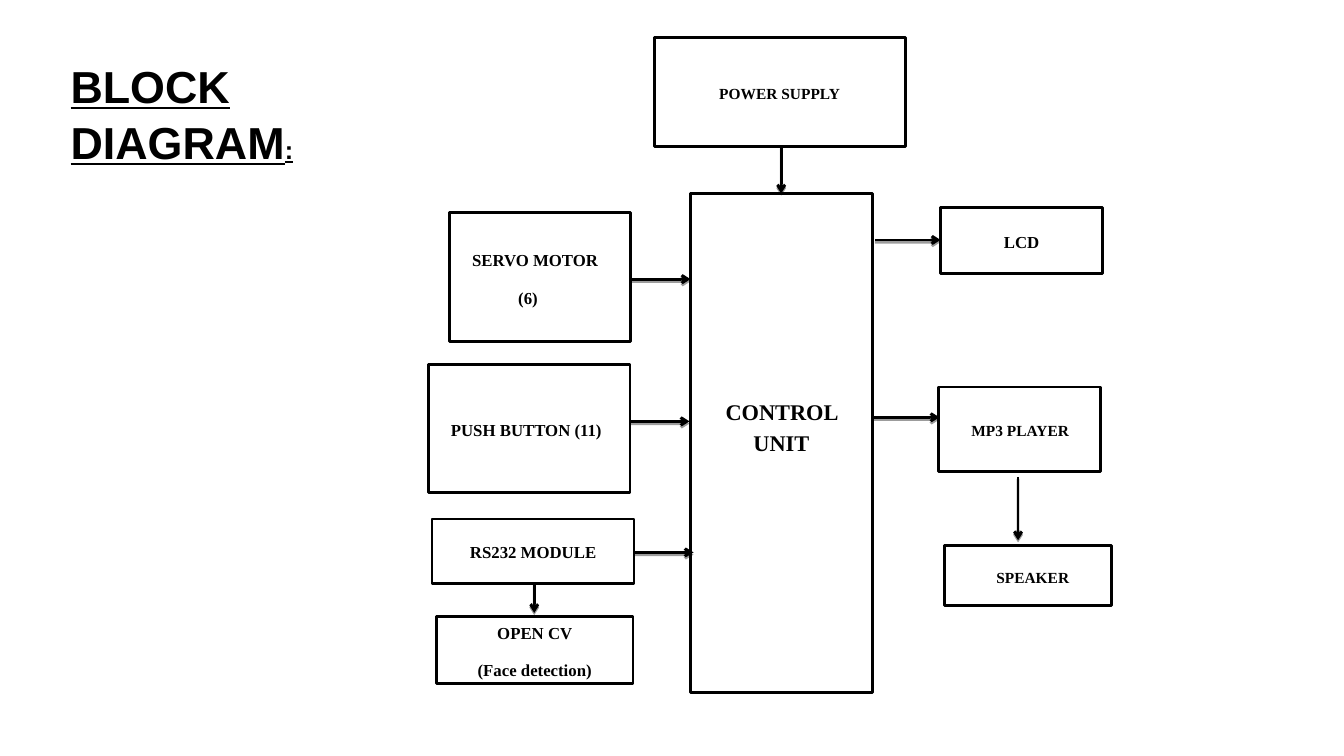
from lxml import etree
from pptx import Presentation
from pptx.dml.color import RGBColor
from pptx.enum.shapes import MSO_CONNECTOR as Connector, MSO_SHAPE as Shape
from pptx.enum.text import MSO_ANCHOR as Anchor, MSO_AUTO_SIZE as AutoSize, PP_ALIGN as Align
from pptx.oxml import parse_xml
from pptx.oxml.ns import qn
from pptx.util import Pt

BLACK, WHITE = "000000", "FFFFFF"
SHADOW = (
    '<a:effectLst xmlns:a="http://schemas.openxmlformats.org/drawingml/2006/main">'
    '<a:outerShdw blurRad="0" dist="20320" dir="5400000" rotWithShape="0">'
    '<a:srgbClr val="000000"><a:alpha val="38000"/></a:srgbClr>'
    '</a:outerShdw></a:effectLst>'
)


def color(value):
    return RGBColor.from_string(value)


def write(para, text, *, font, size, underline=False):
    span = para.add_run()
    span.text = text
    span.font.name = font
    span.font.size = Pt(size)
    span.font.bold = True
    span.font.underline = underline
    span.font.color.rgb = color(BLACK)


deck = Presentation()
deck.slide_width, deck.slide_height = Pt(960), Pt(540)
page = deck.slides.add_slide(deck.slide_layouts[5])

# Title
title = page.shapes.title
title.left, title.top, title.width, title.height = Pt(43.2), Pt(36.7), Pt(227.5), Pt(85)
frame = title.text_frame
frame.word_wrap = True
frame.auto_size = AutoSize.NONE
frame.vertical_anchor = Anchor.TOP
first, second = frame.paragraphs[0], frame.add_paragraph()
for para, text, size in ((first, "BLOCK", 32), (second, "DIAGRAM", 32), (second, ":", 18)):
    para.alignment = Align.LEFT
    para.line_spacing = 1.04
    write(para, text, font="Arial", size=size, underline=True)

# Blocks: left, top, width, height, text size, then (line, indent); no indent means centred
blocks = [
    (493.2, 138.2, 130, 356.4, 16, [("CONTROL UNIT", None)]),
    (467.3, 26.6, 179.3, 77.8, 11, [("POWER SUPPLY", None)]),
    (321.1, 151.9, 129.6, 92.2, 12, [("SERVO MOTOR", 9), ("(6)", 42)]),
    (671.8, 148.3, 116, 46.8, 12, [("LCD", None)]),
    (306, 260.6, 144, 91.4, 12, [("PUSH BUTTON (11)", 9)]),
    (308.9, 370.8, 144, 46, 12, [("RS232 MODULE", None)]),
    (311.8, 440.6, 140.4, 47.5, 12, [("OPEN CV", None), ("(Face detection)", None)]),
    (670.3, 276.5, 116, 60.5, 11, [("MP3 PLAYER", 16.5)]),
    (674.6, 389.5, 119.5, 43.2, 11, [("SPEAKER", 30)]),
]
for left, top, width, height, size, lines in blocks:
    box = page.shapes.add_shape(Shape.RECTANGLE, Pt(left), Pt(top), Pt(width), Pt(height))
    box.shadow.inherit = False
    box.fill.solid()
    box.fill.fore_color.rgb = color(WHITE)
    box.line.color.rgb = color(BLACK)
    is_module = lines[0][0] == "RS232 MODULE"
    box.line.width = Pt(1.5 if is_module else 2)
    frame = box.text_frame
    frame.word_wrap = True
    frame.vertical_anchor = Anchor.MIDDLE
    if size == 16:
        frame.margin_bottom = Pt(29)
    for index, (text, indent) in enumerate(lines):
        para = frame.add_paragraph() if index else frame.paragraphs[0]
        para.alignment = Align.CENTER if indent is None else Align.LEFT
        if indent is not None:
            para._p.get_or_add_pPr().set("marL", str(Pt(indent)))
        if not is_module:
            para.line_spacing = 1.15
            para.space_after = Pt(10)
        write(para, text, font="Times New Roman", size=size)

# Arrows: start x, start y, end x, end y
arrows = [
    (625, 171.4, 671.8, 171.4),
    (450.7, 199.4, 493.2, 199.4),
    (558, 104.4, 558, 138.2),
    (452.9, 394.6, 495.4, 394.6),
    (450, 301, 492.5, 301),
    (622.8, 298.1, 671, 298.1),
    (727.2, 340.6, 727.2, 385.9),
    (381.6, 416.2, 381.6, 437.8),
]
for points in arrows:
    arrow = page.shapes.add_connector(Connector.STRAIGHT, *map(Pt, points))
    arrow.line.color.rgb = color(BLACK)
    arrow.line.width = Pt(2)
    etree.SubElement(arrow.line._get_or_add_ln(), qn("a:tailEnd"), type="arrow")
    arrow._element.spPr.append(parse_xml(SHADOW))

deck.save("out.pptx")
